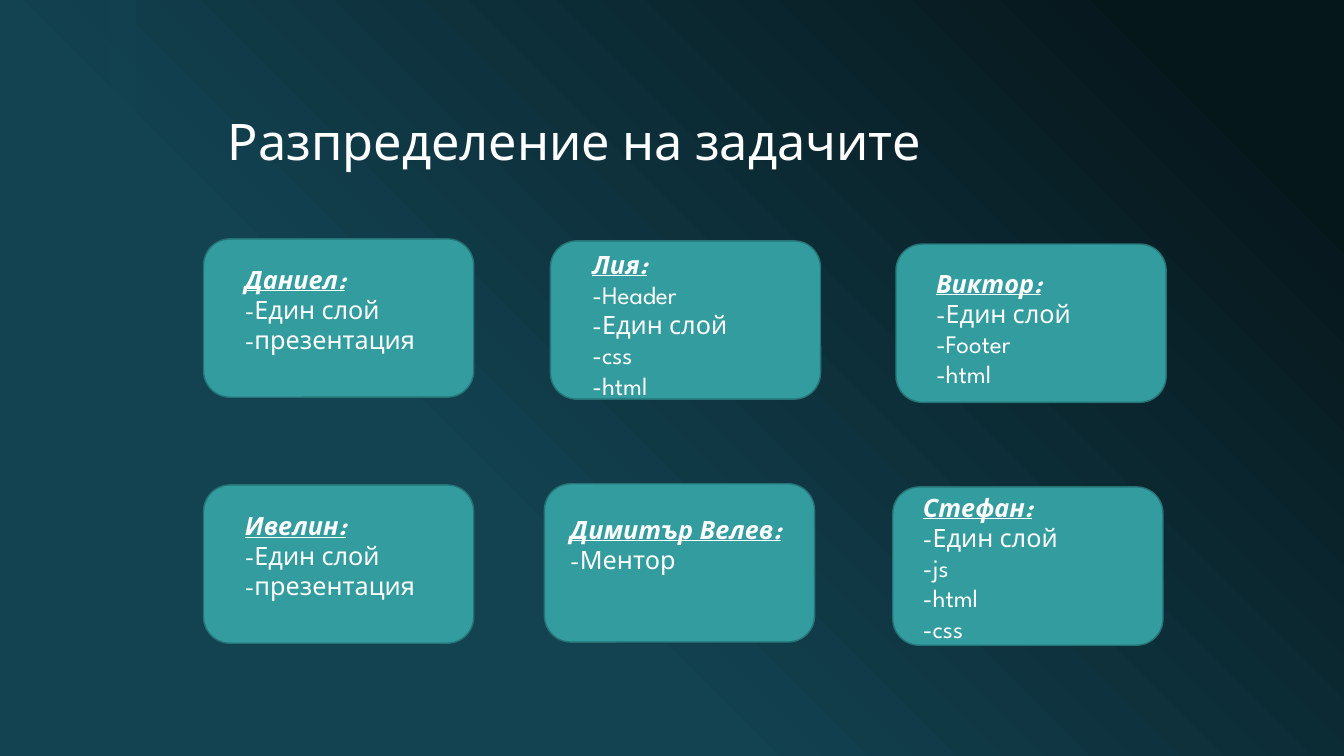
from dataclasses import dataclass

from lxml.etree import SubElement
from pptx import Presentation
from pptx.dml.color import RGBColor as Rgb
from pptx.enum.shapes import MSO_SHAPE as Preset
from pptx.enum.text import MSO_ANCHOR as Anchor, MSO_AUTO_SIZE as AutoSize
from pptx.oxml.ns import qn
from pptx.shapes.autoshape import Shape
from pptx.slide import Slide
from pptx.text.text import TextFrame
from pptx.util import Cm, Pt


@dataclass(frozen=True)
class Theme:
    font: str = "League Spartan"
    text: Rgb = Rgb.from_string("FFFFFF")
    dark: Rgb = Rgb.from_string("06171C")
    teal: Rgb = Rgb.from_string("134251")
    card: Rgb = Rgb.from_string("339C9F")
    card_edge: Rgb = Rgb.from_string("267376")
    title_size: Pt = Pt(36)
    body_size: Pt = Pt(18)
    edge_width: Pt = Pt(1)


@dataclass(frozen=True)
class Member:
    """A person's card and text corners, text width (all in cm) and tasks."""
    name: str
    tasks: tuple[str, ...]
    card: tuple[float, float]
    text: tuple[float, float]
    text_width: float


THEME = Theme()
SLIDE_WIDTH, SLIDE_HEIGHT = 33.87, 19.05
CARD_WIDTH, CARD_HEIGHT = 6.81, 3.99
LINE_HEIGHT, TEXT_PADDING = 0.77, 0.25

NAME_FORMAT = {"size": THEME.body_size, "bold": True, "italic": True, "underline": True}
TASK_FORMAT = {"size": THEME.body_size, "bold": False, "italic": False, "underline": False}
TITLE_FORMAT = {"size": THEME.title_size}

TEAM = (
    Member("Даниел:", ("-Един слой", "-презентация"), (5.13, 6.02), (5.92, 6.53), 5.21),
    Member("Лия:", ("-Header", "-Един слой", "-css", "-html"), (13.87, 6.07), (14.68, 6.15), 5.41),
    Member("Виктор:", ("-Един слой", "-Footer", "-html"), (22.58, 6.15), (23.34, 6.63), 5.46),
    Member("Ивелин:", ("-Един слой", "-презентация"), (5.13, 12.22), (5.92, 12.73), 5.21),
    Member("Димитър Велев:", ("-Ментор",), (13.72, 12.19), (14.12, 12.83), 6.2),
    Member("Стефан:", ("-Един слой", "-js", "-html", "-css"), (22.5, 12.27), (23.01, 12.27), 5.79),
)


def paint_background(slide: Slide) -> None:
    fill = slide.background.fill
    fill.gradient()
    fill.gradient_angle = 225
    for stop, color, position in zip(fill.gradient_stops, (THEME.dark, THEME.teal), (0.1, 0.65)):
        stop.color.rgb = color
        stop.position = position


def add_block(slide: Slide, preset: Preset, left: float, top: float,
              width: float, height: float, color: Rgb) -> Shape:
    block = slide.shapes.add_shape(preset, Cm(left), Cm(top), Cm(width), Cm(height))
    block.shadow.inherit = False
    block.fill.solid()
    block.fill.fore_color.rgb = color
    return block


def add_strip(slide: Slide) -> None:
    """Add the translucent vertical band near the left edge."""
    strip = add_block(slide, Preset.RECTANGLE, 2.79, 0, 0.64, SLIDE_HEIGHT, THEME.teal)
    strip.line.fill.background()
    color = strip.fill._xPr.find(f"{qn('a:solidFill')}/{qn('a:srgbClr')}")
    SubElement(color, qn("a:alpha"), val="60000")


def add_text(slide: Slide, left: float, top: float, width: float, height: float,
             lines: list[tuple[str, dict]]) -> TextFrame:
    """Add a wrapping text box with one paragraph per (wording, format) pair."""
    frame = slide.shapes.add_textbox(Cm(left), Cm(top), Cm(width), Cm(height)).text_frame
    frame.word_wrap = True
    for index, (wording, text_format) in enumerate(lines):
        paragraph = frame.paragraphs[0] if index == 0 else frame.add_paragraph()
        run = paragraph.add_run()
        run.text = wording
        run.font.color.rgb = THEME.text
        for attribute, value in {"name": THEME.font, **text_format}.items():
            setattr(run.font, attribute, value)
    return frame


def add_title(slide: Slide) -> None:
    frame = add_text(slide, 5.49, 1.07, 25.4, 3.38, [("Разпределение на задачите", TITLE_FORMAT)])
    frame.vertical_anchor = Anchor.BOTTOM
    frame.paragraphs[0].line_spacing = 0.9


def add_member(slide: Slide, member: Member) -> None:
    card = add_block(slide, Preset.ROUNDED_RECTANGLE, *member.card,
                     CARD_WIDTH, CARD_HEIGHT, THEME.card)
    card.line.color.rgb = THEME.card_edge
    card.line.width = THEME.edge_width
    lines = [(member.name, NAME_FORMAT), *((task, TASK_FORMAT) for task in member.tasks)]
    height = TEXT_PADDING + LINE_HEIGHT * len(lines)
    frame = add_text(slide, *member.text, member.text_width, height, lines)
    frame.auto_size = AutoSize.SHAPE_TO_FIT_TEXT


def main() -> None:
    deck = Presentation()
    deck.slide_width, deck.slide_height = Cm(SLIDE_WIDTH), Cm(SLIDE_HEIGHT)
    slide = deck.slides.add_slide(deck.slide_layouts[6])
    paint_background(slide)
    add_strip(slide)
    add_title(slide)
    for member in TEAM:
        add_member(slide, member)
    deck.save("out.pptx")


if __name__ == "__main__":
    main()
